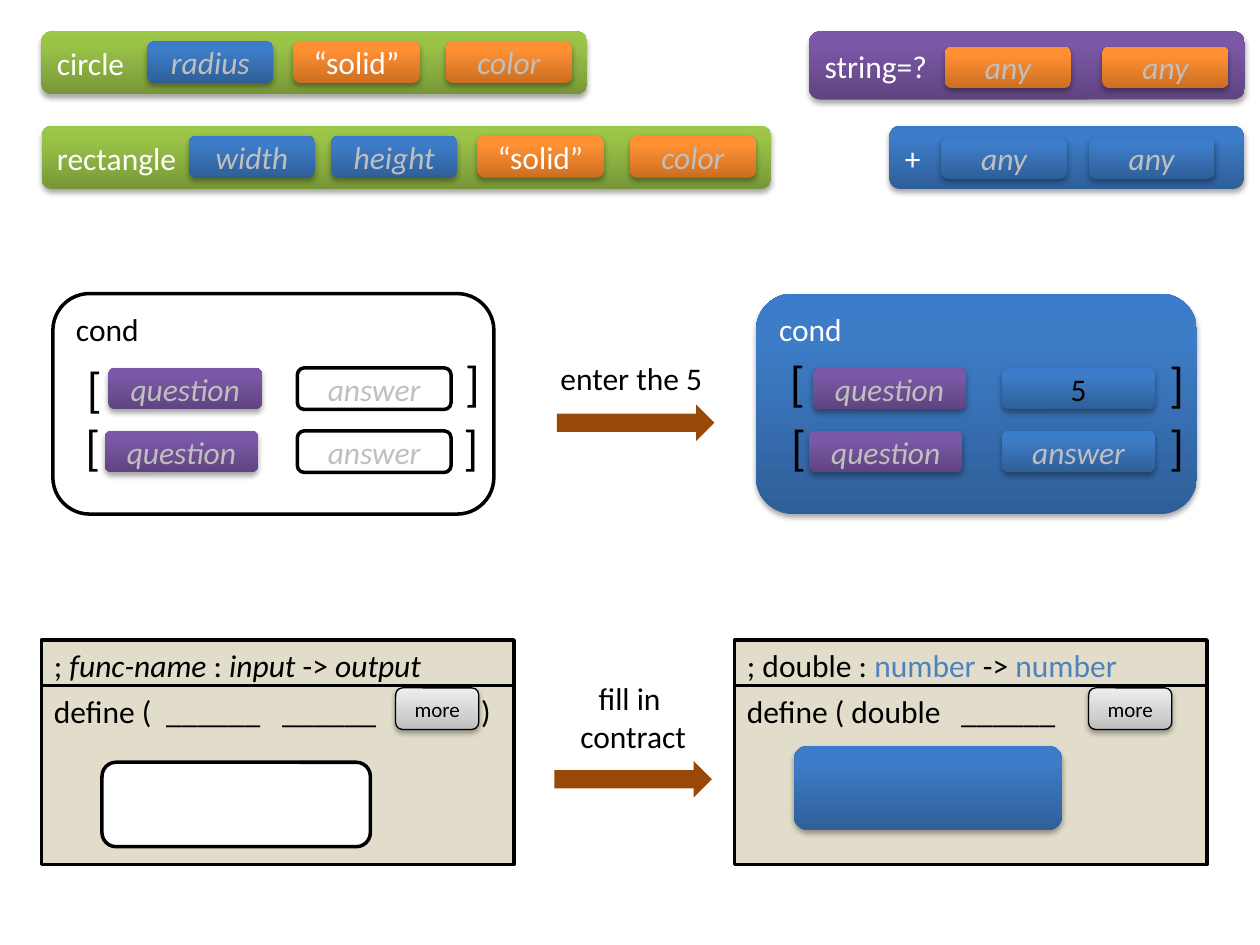
from lxml import etree
from pptx import Presentation
from pptx.dml.color import RGBColor
from pptx.enum.shapes import MSO_SHAPE as Shape
from pptx.enum.text import MSO_ANCHOR as Anchor, MSO_AUTO_SIZE as AutoSize, PP_ALIGN as Align
from pptx.oxml import parse_xml
from pptx.oxml.ns import nsdecls, qn
from pptx.util import Inches, Pt

BLACK = RGBColor(0x00, 0x00, 0x00)
WHITE = RGBColor(0xFF, 0xFF, 0xFF)
HINT = RGBColor(0xBF, 0xBF, 0xBF)
TYPE_BLUE = RGBColor(0x4F, 0x81, 0xBD)
BROWN = RGBColor(0x98, 0x48, 0x07)
TAN = RGBColor(0xC4, 0xBD, 0x97)


def gradient(*stops):
    return [(position, RGBColor.from_string(color)) for position, color in stops]


GREEN = gradient((0, "779737"), (80, "9BC348"), (100, "9DC746"))
PURPLE = gradient((0, "5F4480"), (80, "7B58A6"), (100, "7C57A8"))
ORANGE = gradient((0, "CC6E20"), (80, "FF9034"), (100, "FF9136"))
BLUE = gradient((0, "2F5F99"), (80, "3D7CC7"), (100, "3A7CCB"))
GRAY = gradient((0, "BDBDBD"), (35, "D1D1D1"), (100, "EEEEEE"))

# Expression blocks: label, fill, box, slot top, slots (left, fill, text)
EXPRESSIONS = [
    ("circle", GREEN, (0.33, 0.25, 4.33, 0.5), 0.33,
     [(1.17, BLUE, "radius"), (2.33, ORANGE, "“solid”"), (3.54, ORANGE, "color")]),
    ("string=?", PURPLE, (6.42, 0.25, 3.46, 0.54), 0.37,
     [(7.5, ORANGE, "any"), (8.75, ORANGE, "any")]),
    ("rectangle", GREEN, (0.33, 1, 5.79, 0.5), 1.08,
     [(1.5, BLUE, "width"), (2.63, BLUE, "height"),
      (3.79, ORANGE, "“solid”"), (5, ORANGE, "color")]),
    ("+", BLUE, (7.06, 1, 2.81, 0.5), 1.09,
     [(7.47, BLUE, "any"), (8.64, BLUE, "any")]),
]

# Cond blocks: left, fill, label colour, rows (question left, answer left, answer)
# and brackets (text, left, top)
CONDS = [
    (0.42, WHITE, BLACK, [(0.86, 2.36, "answer"), (0.83, 2.36, "answer")],
     [("[", 0.59, 2.8), ("[", 0.58, 3.26), ("]", 3.59, 2.75), ("]", 3.58, 3.26)]),
    (6, BLUE, WHITE, [(6.45, 7.95, "5"), (6.42, 7.95, "answer")],
     [("[", 6.17, 2.75), ("[", 6.18, 3.26), ("]", 9.18, 2.76), ("]", 9.18, 3.26)]),
]

# Function definitions: left, signature, header, tab stops, body fill, body slot place
DEFINITIONS = [
    (0.33, [("; ", {}), ("func-name ", {"italic": True}), (": ", {}),
            ("input", {"italic": True}), (" -> ", {}), ("output", {"italic": True})],
     "define (\t______\t______\t)", (0.89, 1.81, 3.39), WHITE, (0.81, 6.05)),
    (5.83, [("; double : ", {}), ("number ", {"color": TYPE_BLUE}),
            ("-> ", {}), ("number", {"color": TYPE_BLUE})],
     "define ( double\t______", (1.7,), BLUE, (6.3, 5.92)),
]

# Steps: lines, text box, arrow place
STEPS = [
    (["enter the 5"], (4.35, 2.8, 1.34, 0.4), (4.42, 3.21)),
    (["fill in ", "contract"], (4.5, 5.34, 1.05, 0.71), (4.4, 6.04)),
]

deck = Presentation()
deck.slide_width, deck.slide_height = Inches(10), Inches(7.5)
page = deck.slides.add_slide(deck.slide_layouts[6])


def write(para, text, size=18, color=BLACK, italic=False):
    span = para.add_run()
    span.text = text
    span.font.name = "Calibri"
    span.font.size = Pt(size)
    span.font.color.rgb = color
    span.font.italic = italic


def paint(box, fill):
    """Fill with one colour, or with a vertical gradient and a soft shadow."""
    box.shadow.inherit = False
    if isinstance(fill, RGBColor):
        box.fill.solid()
        box.fill.fore_color.rgb = fill
        return
    box.fill.background()
    properties = box._element.spPr
    stops = "".join(f'<a:gs pos="{position * 1000}"><a:srgbClr val="{color}"/></a:gs>'
                    for position, color in fill)
    properties.replace(properties.find(qn("a:noFill")), parse_xml(
        f'<a:gradFill {nsdecls("a")} rotWithShape="1"><a:gsLst>{stops}</a:gsLst>'
        '<a:lin ang="16200000" scaled="0"/></a:gradFill>'))
    properties.find(qn("a:effectLst")).append(parse_xml(
        f'<a:outerShdw {nsdecls("a")} blurRad="40000" dist="23000" dir="5400000" '
        'rotWithShape="0"><a:srgbClr val="000000"><a:alpha val="35000"/>'
        '</a:srgbClr></a:outerShdw>'))


def add_box(place, fill, text="", kind=Shape.ROUNDED_RECTANGLE, line=0,
            align=Align.CENTER, anchor=Anchor.MIDDLE, **style):
    box = page.shapes.add_shape(kind, *map(Inches, place))
    paint(box, fill)
    if line:
        box.line.color.rgb = BLACK
        box.line.width = Pt(line)
    else:
        box.line.fill.background()
    box.text_frame.vertical_anchor = anchor
    para = box.text_frame.paragraphs[0]
    para.alignment = align
    if text:
        write(para, text, **style)
    return box


def add_label(place, lines, align=Align.LEFT, **style):
    frame = page.shapes.add_textbox(*map(Inches, place)).text_frame
    frame.word_wrap = False
    frame.auto_size = AutoSize.SHAPE_TO_FIT_TEXT
    for index, text in enumerate(lines):
        para = frame.add_paragraph() if index else frame.paragraphs[0]
        para.alignment = align
        write(para, text, **style)


def add_tan_box(place, text=""):
    box = add_box(place, TAN, text, kind=Shape.RECTANGLE, line=2,
                  align=Align.LEFT, anchor=Anchor.TOP)
    color = box._element.spPr.find(qn("a:solidFill"))[0]
    etree.SubElement(color, qn("a:alpha"), val="50000")
    return box.text_frame.paragraphs[0]


def outline(fill):
    return 2 if fill == WHITE else 0


# Expression blocks
for label, fill, place, slot_top, slots in EXPRESSIONS:
    add_box(place, fill, label, align=Align.LEFT, color=WHITE)
    for left, slot_fill, text in slots:
        literal = text == "“solid”"
        add_box((left, slot_top, 1, 0.33), slot_fill, text,
                color=WHITE if literal else HINT, italic=not literal)

# Cond blocks
for left, fill, label_color, rows, brackets in CONDS:
    add_box((left, 2.33, 3.5, 1.75), fill, "cond", line=outline(fill),
            align=Align.LEFT, anchor=Anchor.TOP, color=label_color)
    for row, (question_left, answer_left, answer) in enumerate(rows):
        top = 2.92 + 0.5 * row
        hint = answer == "answer"
        add_box((question_left, top, 1.22, 0.33), PURPLE, "question",
                color=HINT, italic=True)
        add_box((answer_left, top, 1.22, 0.33), fill, answer, line=outline(fill),
                color=HINT if hint else BLACK, italic=hint)
    for bracket, bracket_left, top in brackets:
        add_label((bracket_left, top, 0.32, 0.57), [bracket], size=28)

# Function definitions
for left, signature, header, tabs, fill, slot in DEFINITIONS:
    para = add_tan_box((left, 5.44, 3.75, 1.42), header)
    tab_list = etree.SubElement(para._p.get_or_add_pPr(), qn("a:tabLst"))
    for tab in tabs:
        etree.SubElement(tab_list, qn("a:tab"), pos=str(Inches(tab)), algn="l")
    add_box((left + 2.81, 5.46, 0.66, 0.33), GRAY, "more", line=0.75, size=12)
    add_box((*slot, 2.13, 0.67), fill, line=outline(fill))
    para = add_tan_box((left, 5.08, 3.75, 0.36))
    for text, style in signature:
        write(para, text, **style)

# Steps between the two sides
for lines, place, arrow in STEPS:
    add_box((*arrow, 1.25, 0.29), BROWN, kind=Shape.RIGHT_ARROW)
    add_label(place, lines, align=Align.CENTER if len(lines) > 1 else Align.LEFT)

deck.save("out.pptx")
